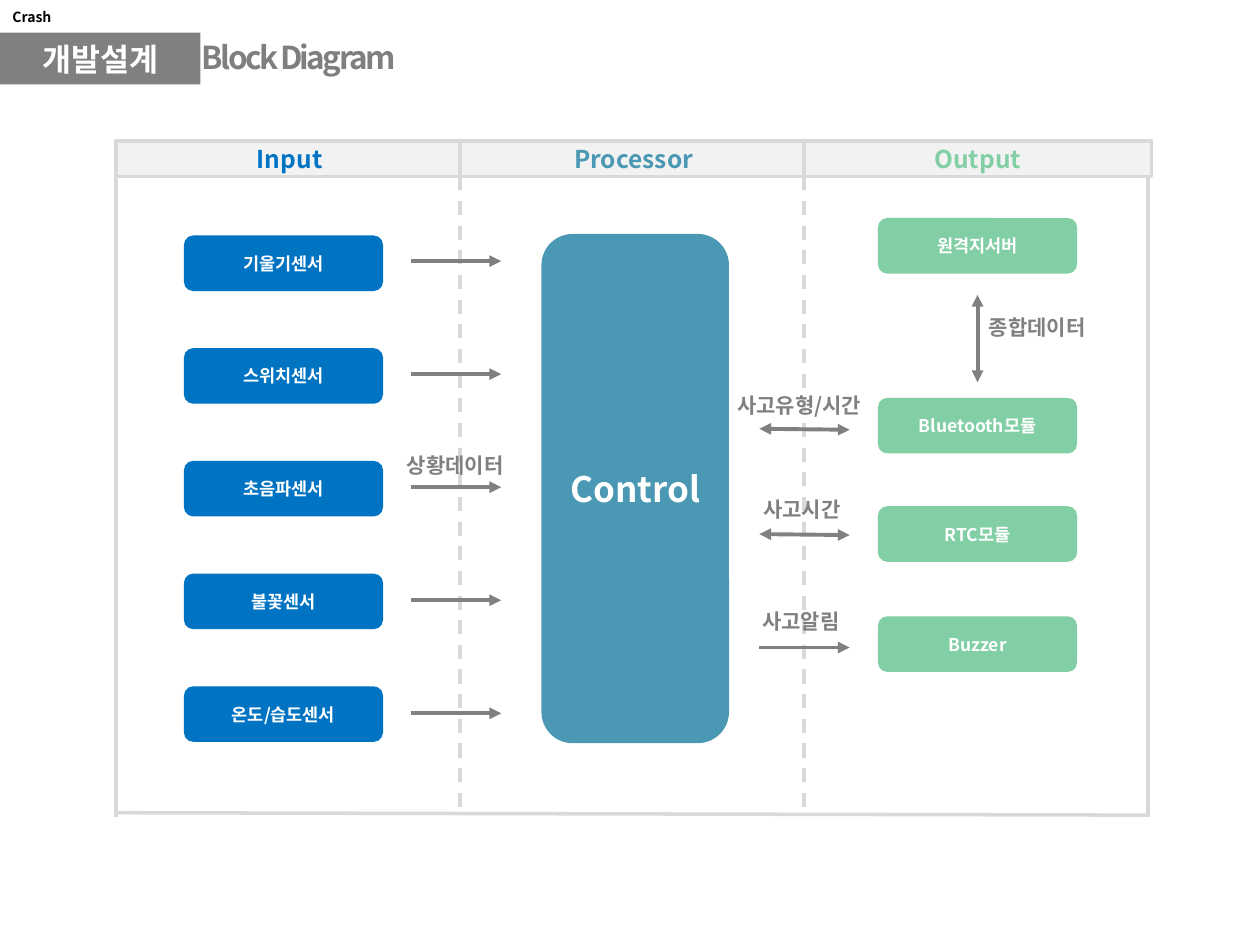
from dataclasses import dataclass

from lxml import etree
from pptx import Presentation
from pptx import util as u
from pptx.dml.color import RGBColor
from pptx.enum import dml, shapes, text
from pptx.oxml.ns import qn


@dataclass(frozen=True)
class Theme:
    font: str = "Noto Sans CJK KR"
    blue: str = "0073C3"
    teal: str = "4A98B3"
    green: str = "82CFA5"
    gray: str = "808080"
    title_gray: str = "7F7F7F"
    frame: str = "D9D9D9"
    header: str = "F2F2F2"
    white: str = "FFFFFF"
    black: str = "000000"
    small: int = 8
    block: int = 10
    label: int = 12
    heading: int = 14
    title: int = 18
    core: int = 20
    frame_w: float = 2
    arrow_w: float = 2.25


T = Theme()
RECT = shapes.MSO_SHAPE.RECTANGLE
ROUND = shapes.MSO_SHAPE.ROUNDED_RECTANGLE
CENTER = text.PP_ALIGN.CENTER
BLOCK_W, BLOCK_H = 113.75, 31.75


def rgb(value):
    return RGBColor.from_string(value)


def add_run(p, words, size, color, spacing=None):
    r = p.add_run()
    r.text = words
    f = r.font
    f.size, f.bold, f.name = u.Pt(size), True, T.font
    f.color.rgb = rgb(color)
    rPr = r._r.get_or_add_rPr()
    etree.SubElement(rPr, qn("a:ea"), typeface=T.font)
    if spacing is not None:
        rPr.set("spc", str(int(spacing * 100)))


def add_label(s, words, x, y, w, h, size=T.label, color=T.gray,
              align=None, wrap=True, spacing=None):
    tf = s.shapes.add_textbox(u.Pt(x), u.Pt(y), u.Pt(w), u.Pt(h)).text_frame
    tf.word_wrap = wrap
    p = tf.paragraphs[0]
    p.alignment = align
    add_run(p, words, size, color, spacing)


def add_block(s, words, x, y, w, h, fill, size=T.block, color=T.white,
              kind=ROUND, line=None):
    sp = s.shapes.add_shape(kind, u.Pt(x), u.Pt(y), u.Pt(w), u.Pt(h))
    sp.shadow.inherit = False
    sp.fill.solid()
    sp.fill.fore_color.rgb = rgb(fill)
    if line:
        sp.line.color.rgb = rgb(line)
        sp.line.width = u.Pt(T.frame_w)
    else:
        sp.line.fill.background()
    tf = sp.text_frame
    tf.word_wrap = True
    tf.vertical_anchor = text.MSO_ANCHOR.MIDDLE
    p = tf.paragraphs[0]
    p.alignment = CENTER
    add_run(p, words, size, color)


def add_line(s, x1, y1, x2, y2, color=T.frame, width=T.frame_w,
             dashed=False, ends=()):
    c = s.shapes.add_connector(shapes.MSO_CONNECTOR.STRAIGHT,
                               u.Pt(x1), u.Pt(y1), u.Pt(x2), u.Pt(y2))
    c.line.color.rgb = rgb(color)
    c.line.width = u.Pt(width)
    if dashed:
        c.line.dash_style = dml.MSO_LINE.DASH
    ln = c.line._get_or_add_ln()
    for end in ends:
        etree.SubElement(ln, qn(f"a:{end}"), type="triangle")
    etree.SubElement(c._element.spPr, qn("a:effectLst"))


def add_arrow(s, x1, y1, x2, y2, both=False):
    ends = ("headEnd", "tailEnd") if both else ("tailEnd",)
    add_line(s, x1, y1, x2, y2, T.gray, T.arrow_w, ends=ends)


def add_title(s):
    add_label(s, "\N{NO-BREAK SPACE}Block Diagram", 105.8, 18, 168.5, 29,
              T.title, T.title_gray, wrap=False, spacing=-1.5)
    add_label(s, "Crash", 0, 1.4, 114.5, 17, T.small, T.black,
              align=text.PP_ALIGN.JUSTIFY)
    add_block(s, "개발설계", 0, 18.7, 114.5, 29.5, T.gray, T.title, kind=RECT)


def add_frame(s):
    headings = [("Input", T.blue), ("Processor", T.teal), ("Output", T.green)]
    for i, (words, color) in enumerate(headings):
        add_block(s, words, 66.2 + 196.6 * i, 80.6, 198.7, 20.2, T.header,
                  T.heading, color, RECT, T.frame)
    for i in range(4):
        x = 66.2 + 196.6 * i
        add_line(s, x, 100.8, x, 466.6, dashed=i in (1, 2))
    add_line(s, 66.2, 464.4, 656.6, 465.8)


def add_inputs(s):
    sensors = ["기울기센서", "스위치센서", "초음파센서", "불꽃센서", "온도/습도센서"]
    for i, words in enumerate(sensors):
        add_block(s, words, 105.1, 134.6 + 64.4 * i, BLOCK_W, BLOCK_H, T.blue)
        y = 149.2 + 64.6 * i
        add_arrow(s, 234.7, y, 286.4, y)
    add_label(s, "상황데이터", 225.4, 254.9, 78.5, 31)


def add_outputs(s):
    for words, y in [("원격지서버", 124.6), ("Bluetooth모듈", 227.4),
                     ("RTC모듈", 289.3), ("Buzzer", 352.2)]:
        add_block(s, words, 501.7, y, BLOCK_W, BLOCK_H, T.green)

    # Links from the processor: label, label box, arrow height, slope, two-way
    for words, x, y, w, arrow_y, slope, both in [
            ("사고유형/시간", 414.2, 221, 91.4, 245, 0.6, True),
            ("사고시간", 429, 280, 78.5, 305.2, 0.6, True),
            ("사고알림", 428.5, 344.2, 78.5, 370, 0, False)]:
        add_arrow(s, 433.9, arrow_y, 485.5, arrow_y + slope, both)
        add_label(s, words, x, y, w, 31)

    # Link between the server and Bluetooth
    add_arrow(s, 558.6, 168.5, 558.6, 218.4, both=True)
    add_label(s, "종합데이터", 558, 176.4, 91.4, 31)


def main():
    prs = Presentation()
    prs.slide_width, prs.slide_height = u.Pt(720), u.Pt(540)
    s = prs.slides.add_slide(prs.slide_layouts[6])
    add_title(s)
    add_frame(s)
    add_inputs(s)
    # Processor
    add_block(s, "Control", 309.4, 133.7, 107.2, 291, T.teal, T.core)
    add_outputs(s)
    prs.save("out.pptx")


if __name__ == "__main__":
    main()
